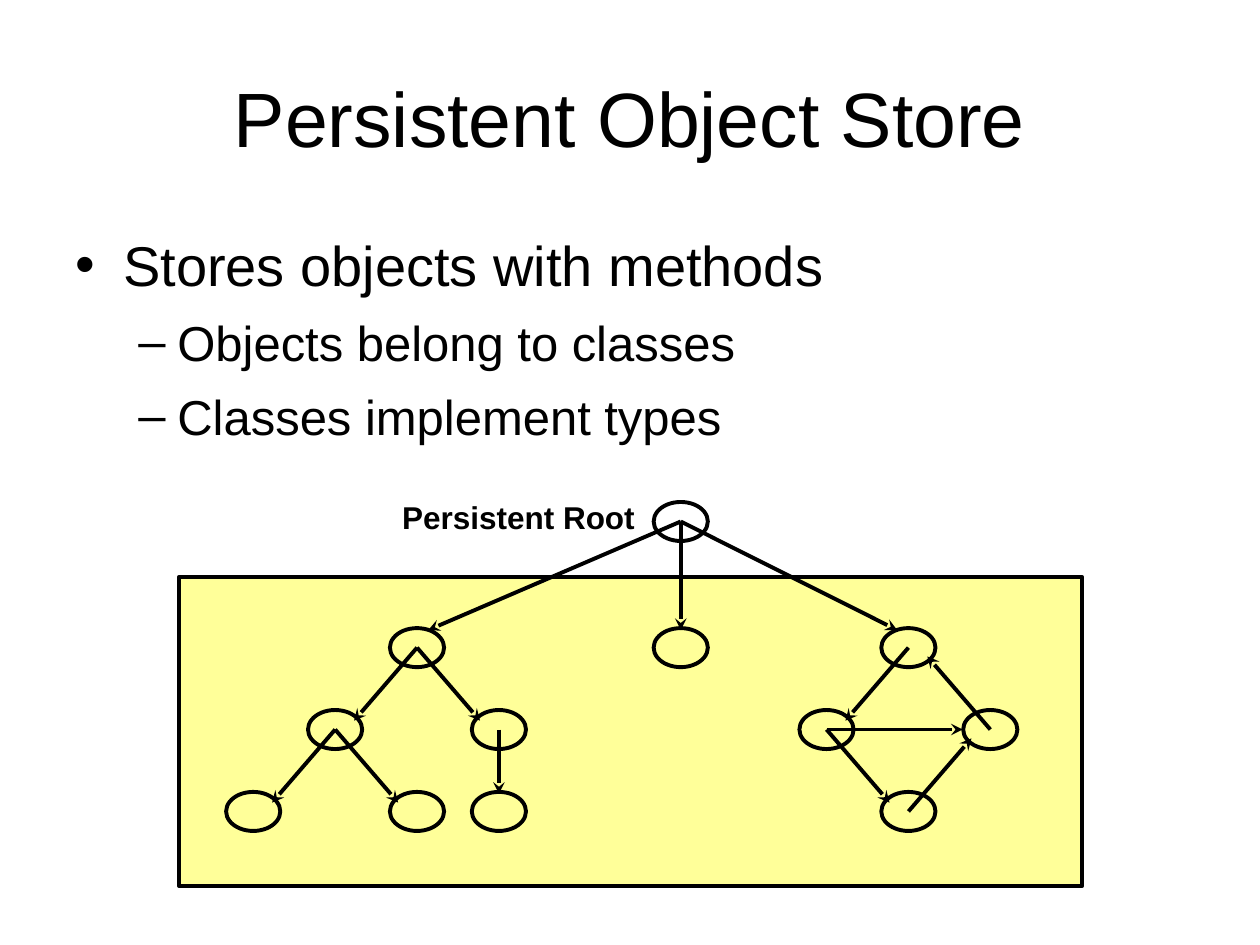
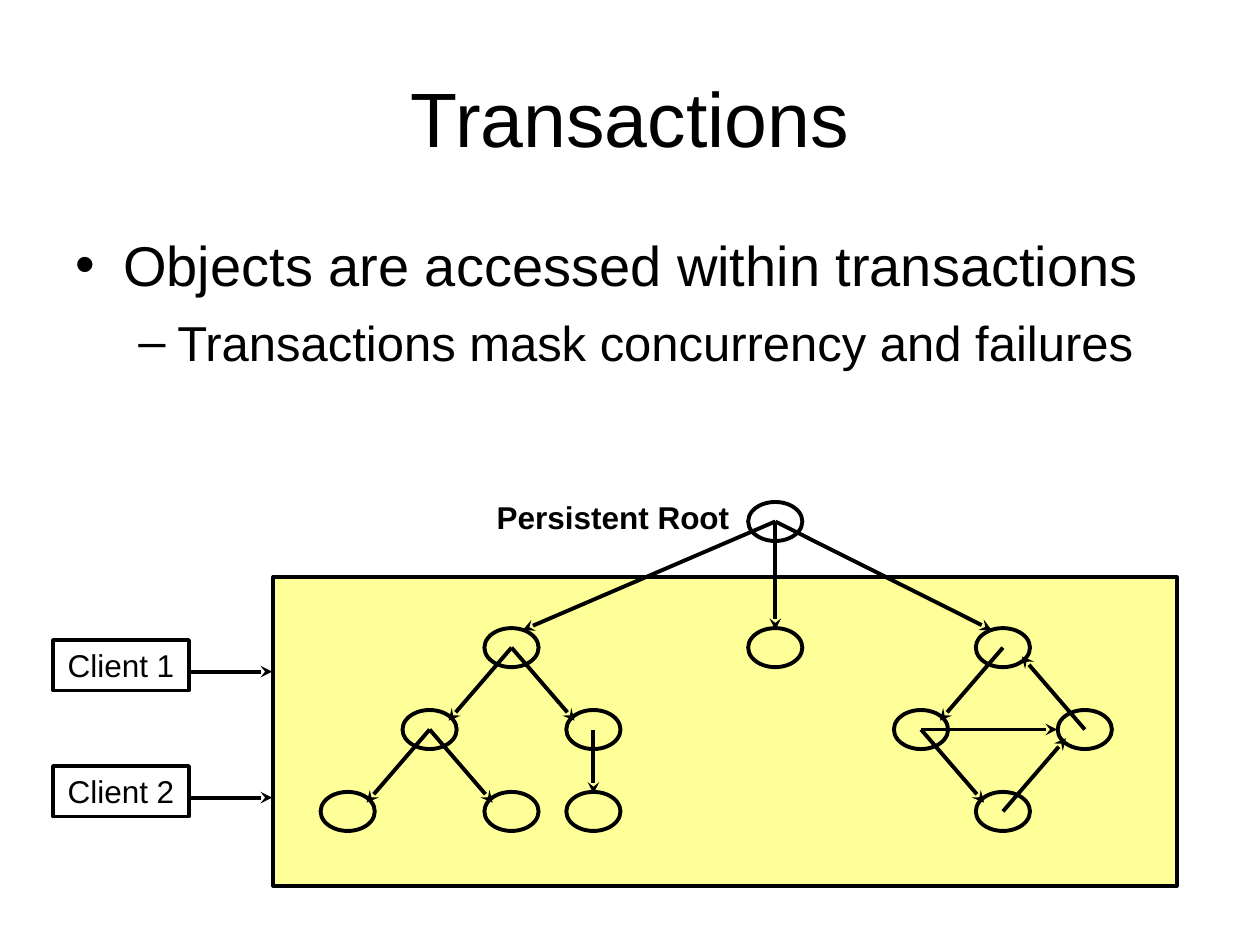
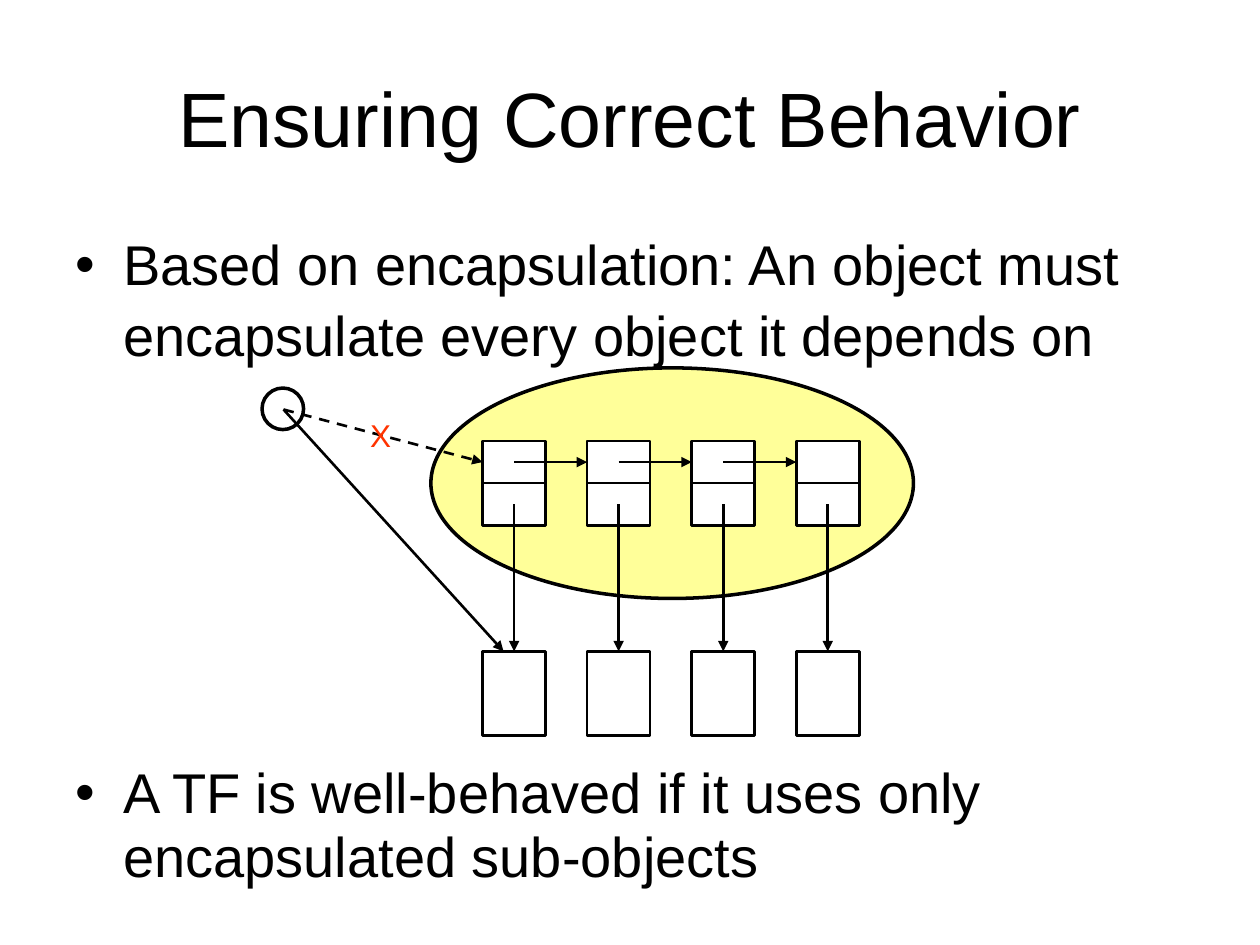
from dataclasses import dataclass

from lxml import etree
from pptx import Presentation
from pptx.dml.color import RGBColor as RGB
from pptx.enum.dml import MSO_LINE
from pptx.enum.shapes import MSO_CONNECTOR as CONN, MSO_SHAPE as SHAPE
from pptx.enum.text import MSO_ANCHOR as ANCHOR, MSO_AUTO_SIZE as AUTO, PP_ALIGN as ALIGN
from pptx.oxml.ns import qn
from pptx.util import Inches, Pt


@dataclass(frozen=True)
class Theme:
    font: str = "Arial"
    ink: str = "000000"
    paper: str = "FFFFFF"
    store: str = "FFFF99"
    alert: str = "FF3300"
    title: int = 44
    label: int = 18
    thick: float = 2.25
    medium: float = 2
    thin: float = 1.5


T = Theme()
LEVELS = [
    {"size": 32, "bullet": "•", "left": 0.38, "hang": 0.38, "before": 8},
    {"size": 28, "bullet": "–", "left": 0.81, "hang": 0.31, "before": 7},
]
TITLE_BOX = (0.5, 0.3, 9, 1.25)
BODY_BOX = (0.5, 1.75, 9, 4.95)

STORE_BULLETS = [
    (0, "Stores objects with methods"),
    (1, "Objects belong to classes"),
    (1, "Classes implement types"),
]
TRANSACTION_BULLETS = [
    (0, "Objects are accessed within transactions"),
    (1, "Transactions mask concurrency and failures"),
]
RULE_BULLET = [(0, "Based on encapsulation: An object must encapsulate every object it depends on")]
RESULT_BULLET = [(0, "A TF is well-behaved if it uses only encapsulated sub-objects")]
CLIENTS = ["Client 1", "Client 2"]

OBJECTS = {
    "root": (5.22, -1.54), "single": (5.22, 0),
    "tree": (2, 0), "tree left": (1, 1), "tree right": (3, 1),
    "leaf 1": (0, 2), "leaf 2": (2, 2), "leaf 3": (3, 2),
    "ring top": (8, 0), "ring left": (7, 1), "ring right": (9, 1), "ring bottom": (8, 2),
}
SLOPED, WIDE, DOWN, ACROSS = (0.15, 0.07), (0.09, 0.14), (0, 0.14), (0.22, 0)
REFERENCES = [
    ("root", "tree", WIDE), ("root", "single", DOWN), ("root", "ring top", WIDE),
    ("tree", "tree left", SLOPED), ("tree", "tree right", SLOPED),
    ("tree left", "leaf 1", SLOPED), ("tree left", "leaf 2", SLOPED),
    ("tree right", "leaf 3", DOWN),
    ("ring top", "ring left", SLOPED), ("ring right", "ring top", SLOPED),
    ("ring left", "ring bottom", SLOPED), ("ring bottom", "ring right", SLOPED),
    ("ring left", "ring right", ACROSS),
]
GRID = 0.65
GRID_LEFT, GRID_TOP = 2.01, 5.14
OVAL_W, OVAL_H = 0.43, 0.31


def inches(*values):
    return [Inches(v) for v in values]


def add_run(p, text, size, color=T.ink, bold=False):
    r = p.add_run()
    r.text = text
    r.font.name, r.font.size, r.font.bold = T.font, Pt(size), bold
    r.font.color.rgb = RGB.from_string(color)


def add_shape(shapes, kind, box, width, fill=None):
    sp = shapes.add_shape(kind, *inches(*box))
    sp.shadow.inherit = False
    if fill:
        sp.fill.solid()
        sp.fill.fore_color.rgb = RGB.from_string(fill)
    else:
        sp.fill.background()
    sp.line.color.rgb = RGB.from_string(T.ink)
    sp.line.width = Pt(width)
    return sp


def add_line(shapes, start, end, width, arrow=None, dashed=False):
    line = shapes.add_connector(CONN.STRAIGHT, *inches(*start, *end))
    line.line.color.rgb = RGB.from_string(T.ink)
    line.line.width = Pt(width)
    if dashed:
        line.line.dash_style = MSO_LINE.DASH
    if arrow:
        etree.SubElement(line.line._get_or_add_ln(), qn("a:tailEnd"), type=arrow)
    etree.SubElement(line._element.spPr, qn("a:effectLst"))


def add_label(shapes, text, box, align=ALIGN.CENTER, **style):
    tf = shapes.add_textbox(*inches(*box)).text_frame
    tf.word_wrap = False
    tf.paragraphs[0].alignment = align
    add_run(tf.paragraphs[0], text, T.label, **style)


def add_bullets(s, bullets, box, spacing=1.05):
    tf = s.shapes.add_textbox(*inches(*box)).text_frame
    tf.word_wrap = True
    for i, (level, text) in enumerate(bullets):
        look = LEVELS[level]
        p = tf.add_paragraph() if i else tf.paragraphs[0]
        p.level, p.line_spacing, p.space_before = level, spacing, Pt(look["before"])
        pPr = p._p.get_or_add_pPr()
        pPr.set("marL", str(Inches(look["left"])))
        pPr.set("indent", str(-Inches(look["hang"])))
        etree.SubElement(pPr, qn("a:buFont"), typeface=T.font)
        etree.SubElement(pPr, qn("a:buChar"), char=look["bullet"])
        add_run(p, text, look["size"])


def add_slide(prs, title, bullets, body=BODY_BOX):
    s = prs.slides.add_slide(prs.slide_layouts[5])
    sp = s.shapes.title
    sp.left, sp.top, sp.width, sp.height = inches(*TITLE_BOX)
    tf = sp.text_frame
    tf.auto_size, tf.vertical_anchor = AUTO.NONE, ANCHOR.MIDDLE
    tf.paragraphs[0].alignment = ALIGN.CENTER
    add_run(tf.paragraphs[0], title, T.title)
    add_bullets(s, bullets, body)
    return s


def sign(value):
    return (value > 0) - (value < 0)


def draw_store(s, shift=0):
    add_shape(s.shapes, SHAPE.RECTANGLE, (1.42 + shift, 4.58, 7.17, 2.45), T.thick, T.store)
    centres = {name: (GRID_LEFT + shift + col * GRID, GRID_TOP + row * GRID)
               for name, (col, row) in OBJECTS.items()}
    for x, y in centres.values():
        box = (x - OVAL_W / 2, y - OVAL_H / 2, OVAL_W, OVAL_H)
        add_shape(s.shapes, SHAPE.OVAL, box, T.thick)
    for source, target, gap in REFERENCES:
        start, centre = centres[source], centres[target]
        end = [c - sign(c - a) * g for a, c, g in zip(start, centre, gap)]
        add_line(s.shapes, start, end, T.thick, "stealth")
    add_label(s.shapes, "Persistent Root", (3.09 + shift, 3.9, 2.05, 0.4), bold=True)


def draw_clients(s):
    for i, name in enumerate(CLIENTS):
        top = 5.08 + i
        sp = add_shape(s.shapes, SHAPE.RECTANGLE, (0.42, top, 1.08, 0.4), T.medium)
        tf = sp.text_frame
        tf.vertical_anchor = ANCHOR.MIDDLE
        tf.paragraphs[0].alignment = ALIGN.CENTER
        add_run(tf.paragraphs[0], name, T.label)
        add_line(s.shapes, (1.5, top + 0.25), (2.16, top + 0.25), T.thick, "stealth")


def draw_encapsulation(s, count=4):
    left, top, pitch, w, h = 3.83, 3.5, 0.83, 0.5, 0.67
    link_y, item_top = top + h / 4, 5.17
    add_shape(s.shapes, SHAPE.OVAL, (3.42, 2.92, 3.83, 1.83), T.medium, T.store)
    add_shape(s.shapes, SHAPE.OVAL, (2.08, 3.08, 0.33, 0.33), T.medium)
    columns = [left + i * pitch for i in range(count)]
    for x in columns:
        cell = s.shapes.add_group_shape().shapes
        add_shape(cell, SHAPE.RECTANGLE, (x, top, w, h), T.thin, T.paper)
        add_line(cell, (x, top + h / 2), (x + w, top + h / 2), T.thin)
        add_shape(s.shapes, SHAPE.RECTANGLE, (x, item_top, w, h), T.thin, T.paper)
    for x in columns:
        middle = x + w / 2
        add_line(s.shapes, (middle, top + h * 3 / 4), (middle, item_top), T.thin, "triangle")
        if x != columns[-1]:
            add_line(s.shapes, (middle, link_y), (x + pitch, link_y), T.thin, "triangle")
    outside = (2.25, 3.25)
    add_line(s.shapes, outside, (left, link_y), T.thin, "triangle", dashed=True)
    add_line(s.shapes, outside, (left + w / 3, item_top), T.thin, "triangle")
    add_label(s.shapes, "X", (2.84, 3.25, 0.36, 0.4), ALIGN.LEFT, color=T.alert)


def main():
    prs = Presentation()
    prs.slide_width, prs.slide_height = inches(10, 7.5)

    draw_store(add_slide(prs, "Persistent Object Store", STORE_BULLETS))

    s = add_slide(prs, "Transactions", TRANSACTION_BULLETS)
    draw_store(s, shift=0.75)
    draw_clients(s)

    s = add_slide(prs, "Ensuring Correct Behavior", RULE_BULLET, (0.5, 1.75, 9.25, 1.67))
    add_bullets(s, RESULT_BULLET, (0.5, 6, 9, 1.33), spacing=0.95)
    draw_encapsulation(s)

    prs.save("out.pptx")


if __name__ == "__main__":
    main()
